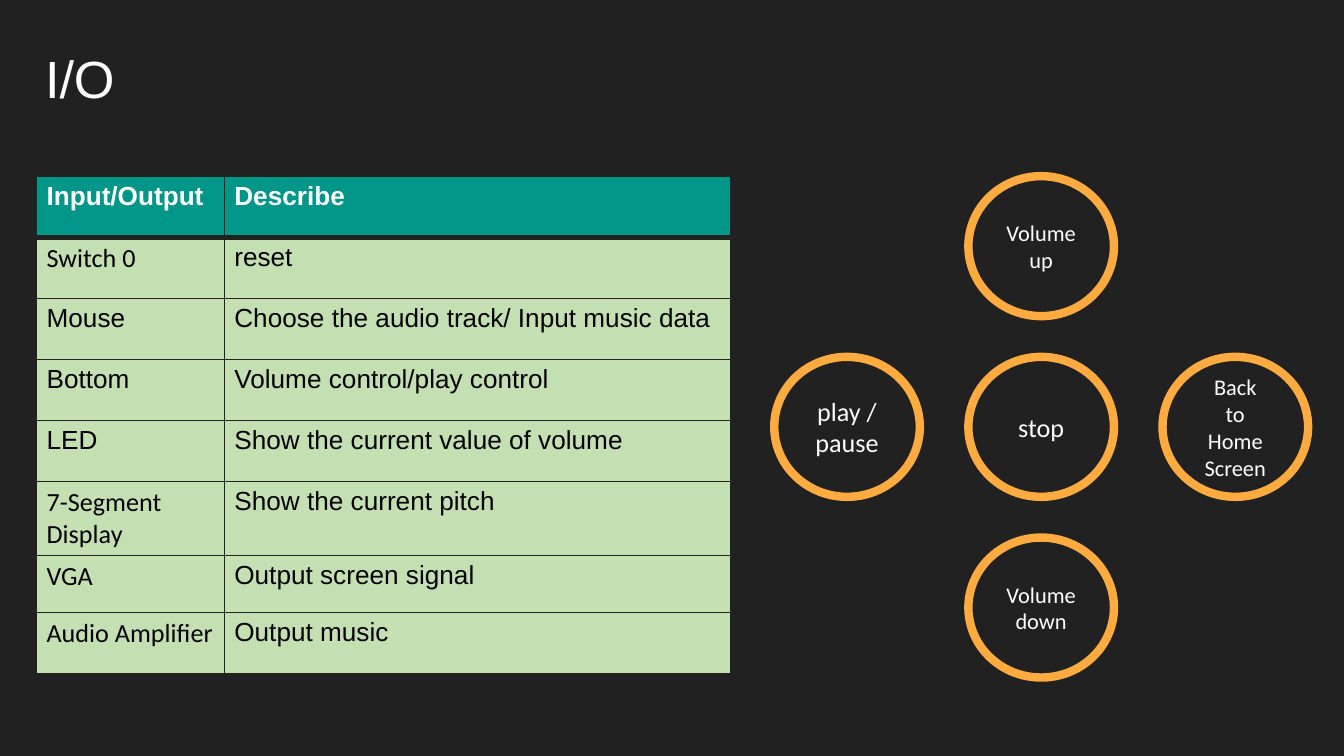
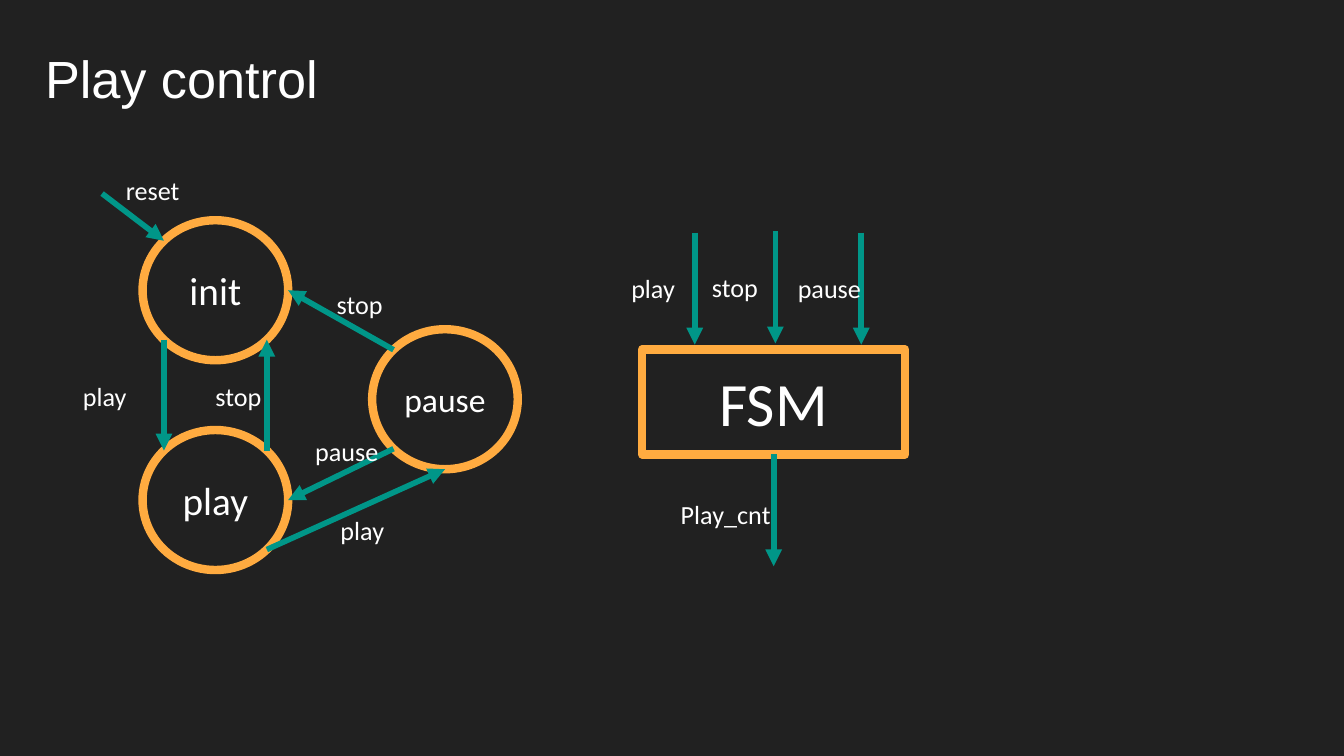
from math import cos, radians, sin

from lxml import etree
from pptx import Presentation
from pptx.dml.color import RGBColor
from pptx.enum import shapes, text
from pptx.oxml import ns
from pptx.util import Pt

BACKGROUND, WHITE, BLACK = "212121", "FFFFFF", "000000"
TEAL, ORANGE, GREEN = "009688", "FFAB40", "C4E0B2"
HEADING_FONT, BODY_FONT = "Arial", "Calibri"
CIRCLE_W, CIRCLE_H = 78, 75
ARROW_LENGTH = 60
INSETS = {"margin_left": Pt(5.4), "margin_right": Pt(5.4),
          "margin_top": Pt(2.7), "margin_bottom": Pt(2.7)}

IO_ROWS = [
    ("Input/Output", "Describe", HEADING_FONT),
    ("Switch 0", "reset", BODY_FONT),
    ("Mouse", "Choose the audio track/ Input music data", HEADING_FONT),
    ("Bottom", "Volume control/play control", HEADING_FONT),
    ("LED", "Show the current value of volume", HEADING_FONT),
    ("7-Segment Display", "Show the current pitch", BODY_FONT),
    ("VGA", "Output screen signal", BODY_FONT),
    ("Audio Amplifier", "Output music", BODY_FONT),
]


def colour(value):
    return RGBColor.from_string(value)


def paint(fill, value):
    fill.solid()
    fill.fore_color.rgb = colour(value)


def assign(target, values):
    for name, value in values.items():
        setattr(target, name, value)


def write(frame, words, size, font=BODY_FONT, ink=WHITE, bold=False, **paragraph_format):
    frame.text = words
    for paragraph in frame.paragraphs:
        assign(paragraph, paragraph_format)
        assign(paragraph.font, {"size": Pt(size), "name": font, "bold": bold})
        paragraph.font.color.rgb = colour(ink)


# Shared parts

def titled_slide(prs, words):
    slide = prs.slides.add_slide(prs.slide_layouts[5])
    title = slide.shapes.title
    assign(title, {"left": Pt(18.7), "top": Pt(26.6), "width": Pt(503), "height": Pt(34)})
    assign(title.text_frame, {**INSETS, "word_wrap": True,
                              "auto_size": text.MSO_AUTO_SIZE.NONE,
                              "vertical_anchor": text.MSO_ANCHOR.MIDDLE})
    write(title.text_frame, words, 28, HEADING_FONT,
          alignment=text.PP_ALIGN.LEFT, line_spacing=0.9)
    return slide


def outlined(slide, kind, words, size, left, top, width=CIRCLE_W, height=CIRCLE_H):
    node = slide.shapes.add_shape(kind, Pt(left), Pt(top), Pt(width), Pt(height))
    node.shadow.inherit = False
    paint(node.fill, BACKGROUND)
    paint(node.line.fill, ORANGE)
    node.line.width = Pt(4.5)
    assign(node.text_frame, {**INSETS, "word_wrap": True,
                             "vertical_anchor": text.MSO_ANCHOR.MIDDLE})
    write(node.text_frame, words, size, alignment=text.PP_ALIGN.CENTER)
    return node


def circle(slide, words, size, left, top):
    return outlined(slide, shapes.MSO_SHAPE.OVAL, words, size, left, top)


def label(slide, words, left, top, width):
    box = slide.shapes.add_textbox(Pt(left), Pt(top), Pt(width), Pt(21.6))
    assign(box.text_frame, {**INSETS, "word_wrap": True})
    write(box.text_frame, words, 14)


def arrow(slide, start, end):
    line = slide.shapes.add_connector(
        shapes.MSO_CONNECTOR.STRAIGHT, *(Pt(value) for value in (*start, *end)))
    paint(line.line.fill, TEAL)
    line.line.width = Pt(3)
    etree.SubElement(line.line._get_or_add_ln(), ns.qn("a:tailEnd"), type="triangle")
    etree.SubElement(line._element.spPr, ns.qn("a:effectLst"))
    return line


# Input and output slide

def border(cell, position, side, width):
    edge = etree.Element(ns.qn(f"a:ln{side}"), w=str(Pt(width)))
    fill = etree.SubElement(edge, ns.qn("a:solidFill"))
    etree.SubElement(fill, ns.qn("a:srgbClr"), val=BACKGROUND)
    cell._tc.get_or_add_tcPr().insert(position, edge)


def io_table(slide, left, top):
    widths = (100.6, 271.2)
    frame = slide.shapes.add_table(len(IO_ROWS), 2, Pt(left), Pt(top),
                                   Pt(sum(widths)), Pt(32.7 * len(IO_ROWS)))
    table = frame.table
    for column, width in zip(table.columns, widths):
        column.width = Pt(width)
    for number, (port, description, port_font) in enumerate(IO_ROWS):
        table.rows[number].height = Pt(30.6 if port == "VGA" else 32.7)
        header = number == 0
        for column, (words, font) in enumerate(((port, port_font), (description, HEADING_FONT))):
            cell = table.cell(number, column)
            assign(cell, INSETS)
            paint(cell.fill, TEAL if header else GREEN)
            write(cell.text_frame, words, 14, font, WHITE if header else BLACK, header)
            edges = {"L": 1, "R": 1, "T": 3 if number == 1 else 1, "B": 3 if header else 1}
            for position, (side, width) in enumerate(edges.items()):
                border(cell, position, side, width)


def button_pad(slide, left, top):
    buttons = [("Volume\nup", 12, 1, 0), ("stop", 14, 1, 1),
               ("Back\nto\nHome\nScreen", 12, 2, 1),
               ("play /\npause", 14, 0, 1), ("Volume\ndown", 12, 1, 2)]
    for words, size, column, row in buttons:
        circle(slide, words, size, left + 104 * column, top + 96.8 * row)


# Play control slide

def rim(node, angle):
    """Point on a circle's edge, with angles clockwise from the right."""
    across, down = cos(radians(angle)), sin(radians(angle))
    return (node.left.pt + node.width.pt * (1 + across) / 2,
            node.top.pt + node.height.pt * (1 + down) / 2)


def state_diagram(slide, left, top):
    init = circle(slide, "init", 21, left + 37.4, top + 27)
    play = circle(slide, "play", 21, left + 37.4, top + 139.4)
    pause = circle(slide, "pause", 18, left + 160.4, top + 85.4)

    arrow(slide, (left + 15.7, top + 12.7), rim(init, 225))
    for source, source_angle, target, target_angle in [
            (init, 135, play, 225), (play, 315, init, 45), (play, 45, pause, 90),
            (pause, 135, play, 0), (pause, 225, init, 0)]:
        arrow(slide, rim(source, source_angle), rim(target, target_angle))

    for words, x, y, width in [
            ("reset", 23, 0, 62.6), ("play", 0, 110, 57), ("stop", 71, 110, 53.3),
            ("pause", 124.4, 139.4, 62.6), ("play", 138, 182, 57), ("stop", 136, 61, 57.6)]:
        label(slide, words, left + x, top + y, width)


def fsm_block(slide, left, top):
    block = outlined(slide, shapes.MSO_SHAPE.RECTANGLE, "FSM", 33,
                     left + 11, top + 63.2, 141, 56.2)
    for words, x, y, width in [("play", 39.2, 0.6, 44), ("stop", 82.4, 0, 44),
                               ("pause", 128.4, 0.6, 69)]:
        arrow(slide, (left + x, top + y), (left + x, top + y + ARROW_LENGTH))
        label(slide, words, left + x - 39.4, top + y + 18.7, width)

    middle, bottom = left + 81.5, top + 119.4
    output = arrow(slide, (middle, bottom), (middle, bottom + ARROW_LENGTH))
    output.begin_connect(block, 2)
    label(slide, "Play_cnt", left + 26.3, top + 140.2, 78)


def main():
    prs = Presentation()
    prs.slide_width, prs.slide_height = Pt(720), Pt(405)
    paint(prs.slide_master.background.fill, BACKGROUND)

    io_slide = titled_slide(prs, "I/O")
    io_table(io_slide, 19.6, 94.6)
    button_pad(io_slide, 414.8, 94.4)

    control_slide = titled_slide(prs, "Play control")
    state_diagram(control_slide, 39, 91)
    fsm_block(control_slide, 333, 124)

    prs.save("out.pptx")


if __name__ == "__main__":
    main()
